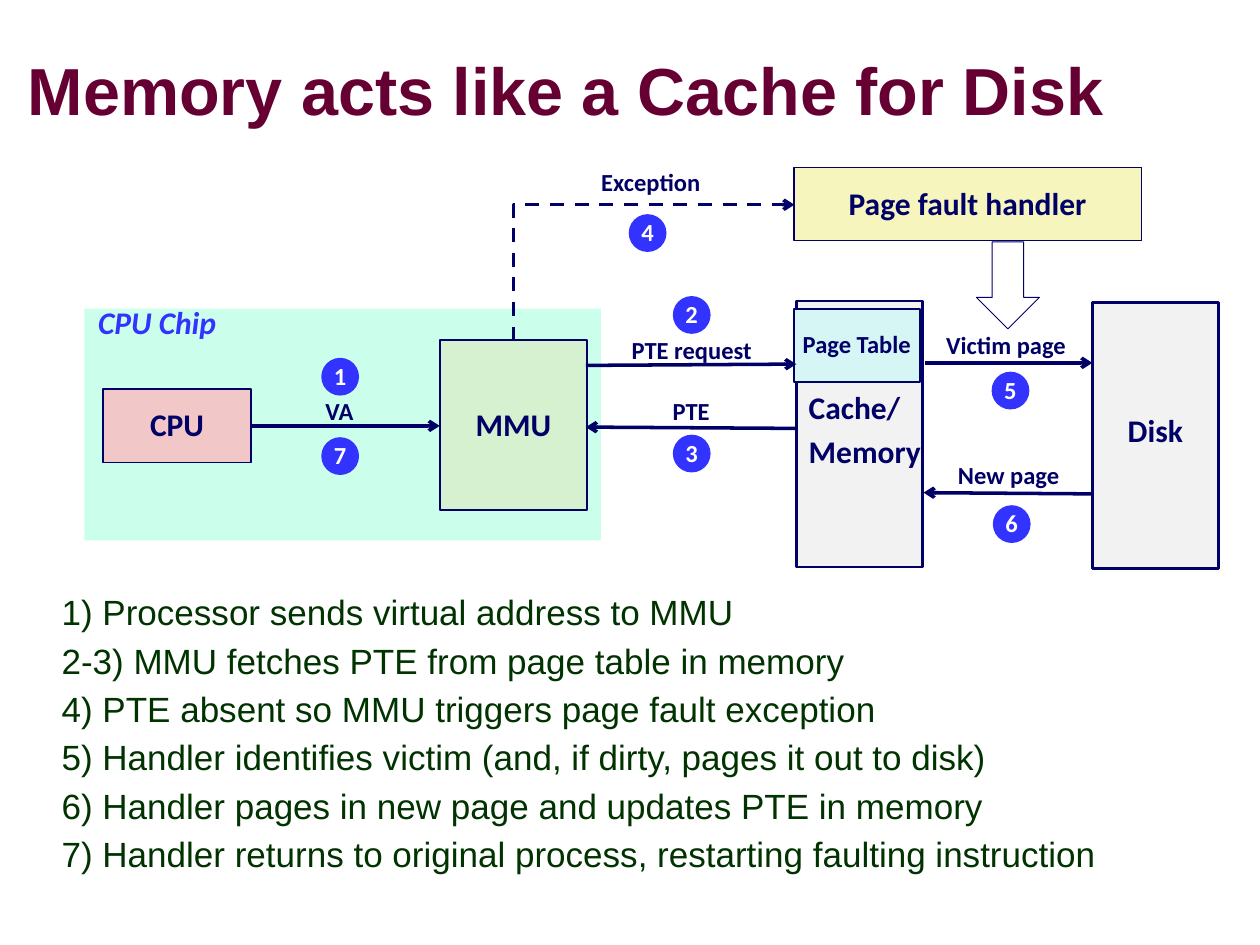
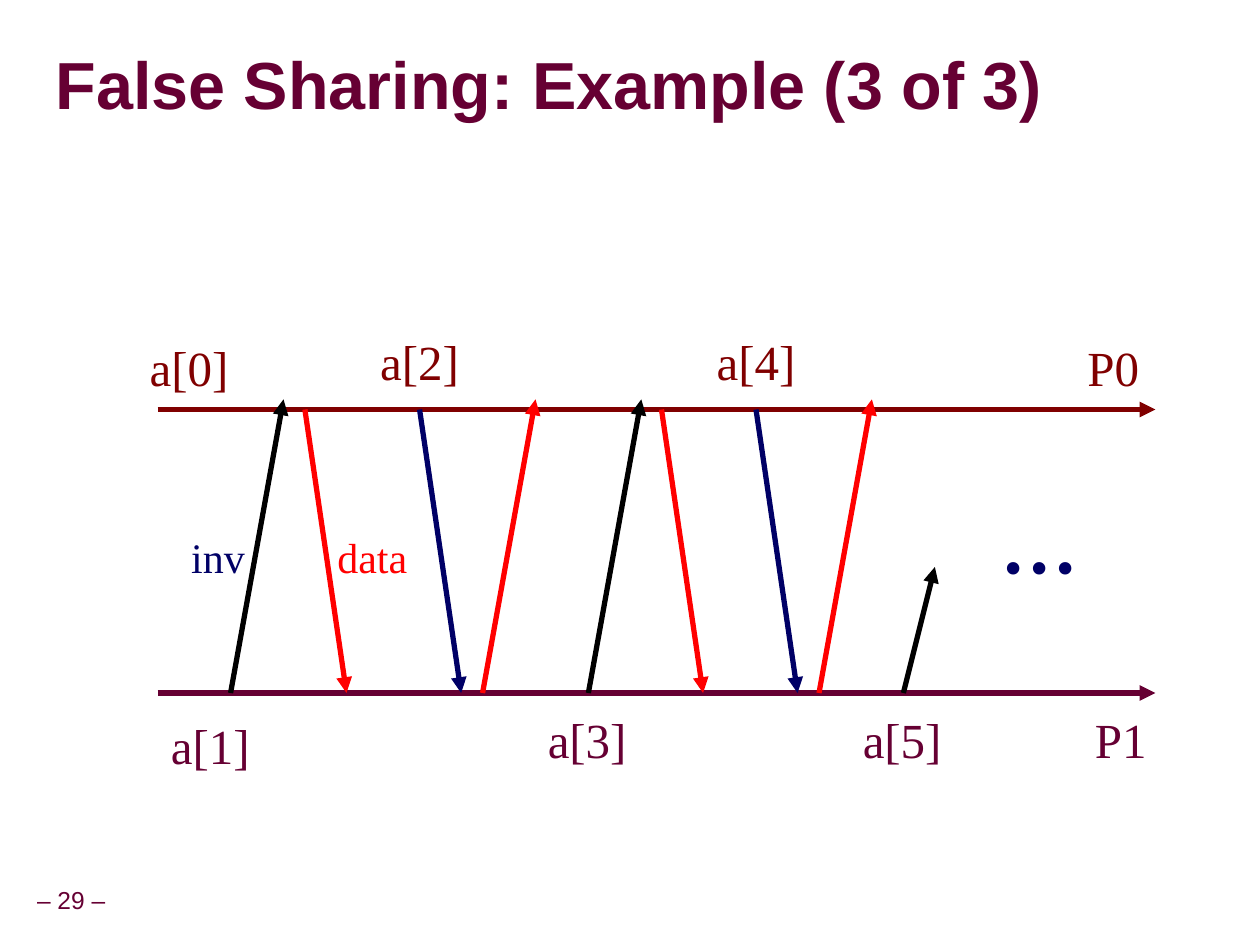
from lxml import etree
from pptx import Presentation
from pptx.dml.color import RGBColor
from pptx.enum.dml import MSO_LINE
from pptx.enum.shapes import MSO_CONNECTOR as CONN, MSO_SHAPE as SHAPE
from pptx.enum.text import MSO_ANCHOR as ANCHOR, MSO_AUTO_SIZE as AUTO, PP_ALIGN as ALIGN
from pptx.oxml.ns import qn
from pptx.util import Inches, Pt

NAVY, BLUE, MAROON, DARK_RED = "000066", "3333FF", "660033", "800000"
RED, BLACK, WHITE, GREEN, GRAY = "FF0000", "000000", "FFFFFF", "003300", "F2F2F2"

STEPS = [
    "1) Processor sends virtual address to MMU",
    "2-3) MMU fetches PTE from page table in memory",
    "4) PTE absent so MMU triggers page fault exception",
    "5) Handler identifies victim (and, if dirty, pages it out to disk)",
    "6) Handler pages in new page and updates PTE in memory",
    "7) Handler returns to original process, restarting faulting instruction",
]
# text, box, fill, line width, text size, line spacing, alignment
UNITS = [
    ("MMU", (3.49, 2.7, 1.17, 1.35), "D5F1CF", 1, 18, 0.98, ALIGN.CENTER),
    ("Cache/\nMemory", (6.32, 2.39, 1, 2.11), GRAY, 1.5, 18, 0.65, ALIGN.LEFT),
    ("CPU", (0.82, 3.09, 1.17, 0.58), "F1C7C7", 1, 18, 0.98, ALIGN.CENTER),
    ("Disk", (8.67, 2.4, 1, 2.11), GRAY, 1.5, 18, 0.65, ALIGN.CENTER),
    ("Page fault handler", (6.3, 1.33, 2.76, 0.58), "F6F5BD", 1, 18, 0.98, ALIGN.CENTER),
    ("Page Table", (6.3, 2.45, 1, 0.58), "D6F5F5", 1, 14, 0.98, ALIGN.CENTER),
]
SIGNALS = [
    ("VA", (2.48, 3.1, 0.43, 0.33), (1.99, 3.38), (3.49, 3.38)),
    ("PTE request", (4.91, 2.62, 1.16, 0.33), (4.65, 2.9), (6.32, 2.89)),
    ("PTE", (5.24, 3.1, 0.49, 0.33), (6.32, 3.4), (4.65, 3.39)),
    ("Victim page", (7.41, 2.58, 1.15, 0.33), (7.34, 2.88), (8.67, 2.88)),
    ("New page", (7.5, 3.61, 1.01, 0.33), (8.67, 3.92), (7.33, 3.91)),
]
BADGES = [(2.55, 2.84), (5.34, 2.35), (5.34, 3.45), (4.99, 1.7),
          (7.87, 2.95), (7.88, 4.01), (2.55, 3.47)]

P0_Y, P1_Y, ARRIVE_Y = 3.25, 5.5, 3.17
# colour, start y, end y, horizontal run, start positions
MESSAGES = [
    (BLACK, P1_Y, ARRIVE_Y, 0.42, (1.83, 4.67)),
    (RED, P0_Y, P1_Y, 0.33, (2.42, 5.25)),
    (NAVY, P0_Y, P1_Y, 0.33, (3.33, 6)),
    (RED, P1_Y, ARRIVE_Y, 0.42, (3.83, 6.5)),
    (BLACK, P1_Y, 4.5, 0.25, (7.17,)),
]
TIMELINE_LABELS = [
    ("P0", (8.53, 2.63, 0.61, 0.57), 28, DARK_RED),
    ("a[0]", (1.09, 2.63, 0.82, 0.57), 28, DARK_RED),
    ("a[2]", (2.92, 2.58, 0.82, 0.57), 28, DARK_RED),
    ("a[4]", (5.59, 2.58, 0.82, 0.57), 28, DARK_RED),
    ("P1", (8.59, 5.58, 0.61, 0.57), 28, MAROON),
    ("a[1]", (1.26, 5.63, 0.82, 0.57), 28, MAROON),
    ("a[3]", (4.25, 5.58, 0.82, 0.57), 28, MAROON),
    ("a[5]", (6.75, 5.58, 0.82, 0.57), 28, MAROON),
    ("inv", (1.42, 4.17, 0.62, 0.5), 24, NAVY),
    ("data", (2.58, 4.17, 0.75, 0.5), 24, RED),
    ("...", (7.84, 3.67, 0.82, 1.1), 60, NAVY),
]


def rgb(value):
    """Turn a hex string into a colour."""
    return RGBColor.from_string(value)


def inches(values):
    """Turn numbers into lengths."""
    return [Inches(v) for v in values]


def write(sp, text, size, color, font="Calibri", bold=False, italic=False, align=ALIGN.CENTER,
          spacing=1.0, before=0, anchor=ANCHOR.MIDDLE, wrap=False, margins=(0.1, 0.05)):
    """Fill a shape with text in one style."""
    tf = sp.text_frame
    tf.text = text
    tf.word_wrap, tf.auto_size, tf.vertical_anchor = wrap, AUTO.NONE, anchor
    tf.margin_left = tf.margin_right = Inches(margins[0])
    tf.margin_top = tf.margin_bottom = Inches(margins[1])
    for i, p in enumerate(tf.paragraphs):
        p.alignment, p.line_spacing = align, spacing
        p.space_before = Pt(before if i else 0)
        for r in p.runs:
            f = r.font
            f.name, f.size, f.bold, f.italic = font, Pt(size), bold, italic
            f.color.rgb = rgb(color)


def add_text(s, text, box, size, color, **style):
    """Add a text box."""
    sp = s.shapes.add_textbox(*inches(box))
    write(sp, text, size, color, **style)
    return sp


def add_block(s, kind, box, fill=None, line=None, width=1):
    """Add a flat preset shape."""
    sp = s.shapes.add_shape(kind, *inches(box))
    sp.shadow.inherit = False
    if fill:
        sp.fill.solid()
        sp.fill.fore_color.rgb = rgb(fill)
    else:
        sp.fill.background()
    if line:
        sp.line.color.rgb = rgb(line)
        sp.line.width = Pt(width)
    else:
        sp.line.fill.background()
    return sp


def add_arrow(s, start, end, color, width, head, kind=CONN.STRAIGHT):
    """Add a connector with an arrowhead at its end."""
    c = s.shapes.add_connector(kind, *inches(start + end))
    c.line.color.rgb = rgb(color)
    c.line.width = Pt(width)
    etree.SubElement(c.line._get_or_add_ln(), qn("a:tailEnd"), type=head)
    etree.SubElement(c._element.spPr, qn("a:effectLst"))
    return c


def add_slide(prs, title, left, top):
    """Add a slide with a shadowed title."""
    s = prs.slides.add_slide(prs.slide_layouts[5])
    sp = s.shapes.title
    sp.left, sp.top, sp.width, sp.height = inches((left, top, 9.53, 0.86))
    write(sp, title, 38, MAROON, font="Arial", bold=True, align=ALIGN.LEFT,
          spacing=0.87, wrap=True, margins=(0, 0))
    fill = sp.text_frame.paragraphs[0].runs[0]._r.rPr.find(qn("a:solidFill"))
    effects = etree.Element(qn("a:effectLst"))
    fill.addnext(effects)
    shadow = etree.SubElement(effects, qn("a:outerShdw"), dist="35921", dir="2700000")
    etree.SubElement(shadow, qn("a:srgbClr"), val="B2B2B2")
    return s


def build_memory(prs):
    """Build the page fault diagram and its steps."""
    s = add_slide(prs, "Memory acts like a Cache for Disk", 0.22, 0.32)
    add_block(s, SHAPE.RECTANGLE, (0.67, 2.45, 4.1, 1.84), "CCFFEB")
    add_text(s, "CPU Chip", (0.68, 2.45, 1.14, 0.3), 18, BLUE, bold=True, italic=True,
             align=ALIGN.LEFT, spacing=0.65, anchor=ANCHOR.TOP)
    for text, box, fill, width, size, spacing, align in UNITS:
        sp = add_block(s, SHAPE.RECTANGLE, box, fill, NAVY, width)
        write(sp, text, size, NAVY, bold=True, align=align, spacing=spacing, before=11.2)
    for text, box, start, end in SIGNALS:
        add_arrow(s, start, end, NAVY, 2, "arrow")
        add_text(s, text, box, 14, NAVY, bold=True, spacing=0.98)

    c = add_arrow(s, (5.73, 3.28), (4.65, 1.05), NAVY, 2, "arrow", CONN.ELBOW)
    c.line.dash_style = MSO_LINE.DASH
    c._element.spPr.find(qn("a:xfrm")).set("rot", "5400000")
    c._element.spPr.find(qn("a:prstGeom")).set("prst", "bentConnector2")
    add_text(s, "Exception", (4.67, 1.29, 0.99, 0.33), 14, NAVY, bold=True, spacing=0.98)
    add_block(s, SHAPE.DOWN_ARROW, (7.75, 1.92, 0.5, 0.69), line=NAVY, width=0.5)

    for number, (x, y) in enumerate(BADGES, 1):
        sp = add_block(s, SHAPE.OVAL, (x, y, 0.3, 0.3), BLUE)
        write(sp, str(number), 14, WHITE, bold=True, spacing=0.98)
    add_text(s, "\n".join(STEPS), (0.39, 4.75, 8.75, 2.25), 20, GREEN, font="Arial",
             align=ALIGN.LEFT, spacing=0.63, before=12.5, anchor=ANCHOR.TOP, wrap=True)


def build_sharing(prs):
    """Build the false sharing timeline."""
    s = add_slide(prs, "False Sharing: Example (3 of 3)", 0.44, 0.27)
    for y, color in ((P0_Y, DARK_RED), (P1_Y, MAROON)):
        add_arrow(s, (1.25, y), (9.17, y), color, 3, "triangle")
    for color, y1, y2, run, starts in MESSAGES:
        for x in starts:
            add_arrow(s, (x, y1), (x + run, y2), color, 3, "triangle")
    for text, box, size, color in TIMELINE_LABELS:
        add_text(s, text, box, size, color, font="Times New Roman")
    add_text(s, "– 29 –", (-0.09, 7, 1.31, 0.31), 14, MAROON, font="Arial",
             spacing=0.9, margins=(0.05, 0.05))


def main():
    """Build and save the presentation."""
    prs = Presentation()
    prs.slide_width, prs.slide_height = Inches(10), Inches(7.5)
    build_memory(prs)
    build_sharing(prs)
    prs.save("out.pptx")


if __name__ == "__main__":
    main()
